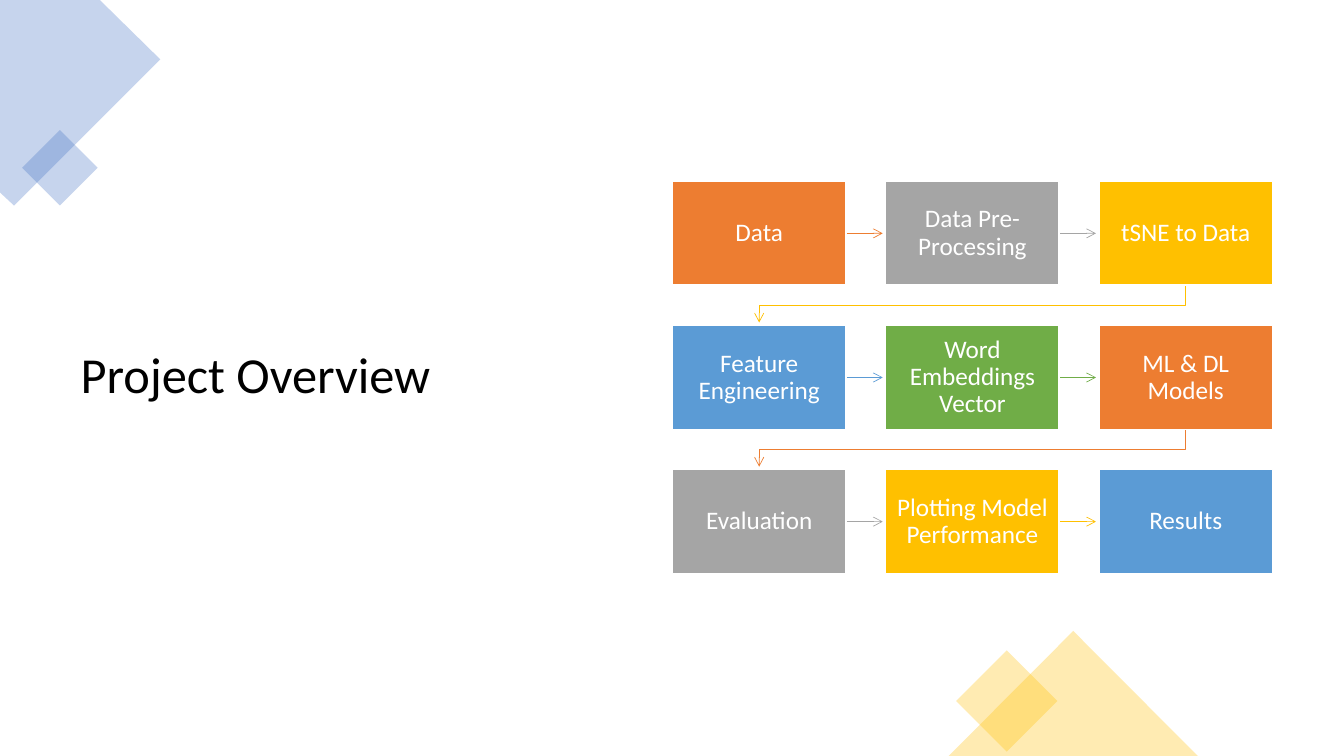
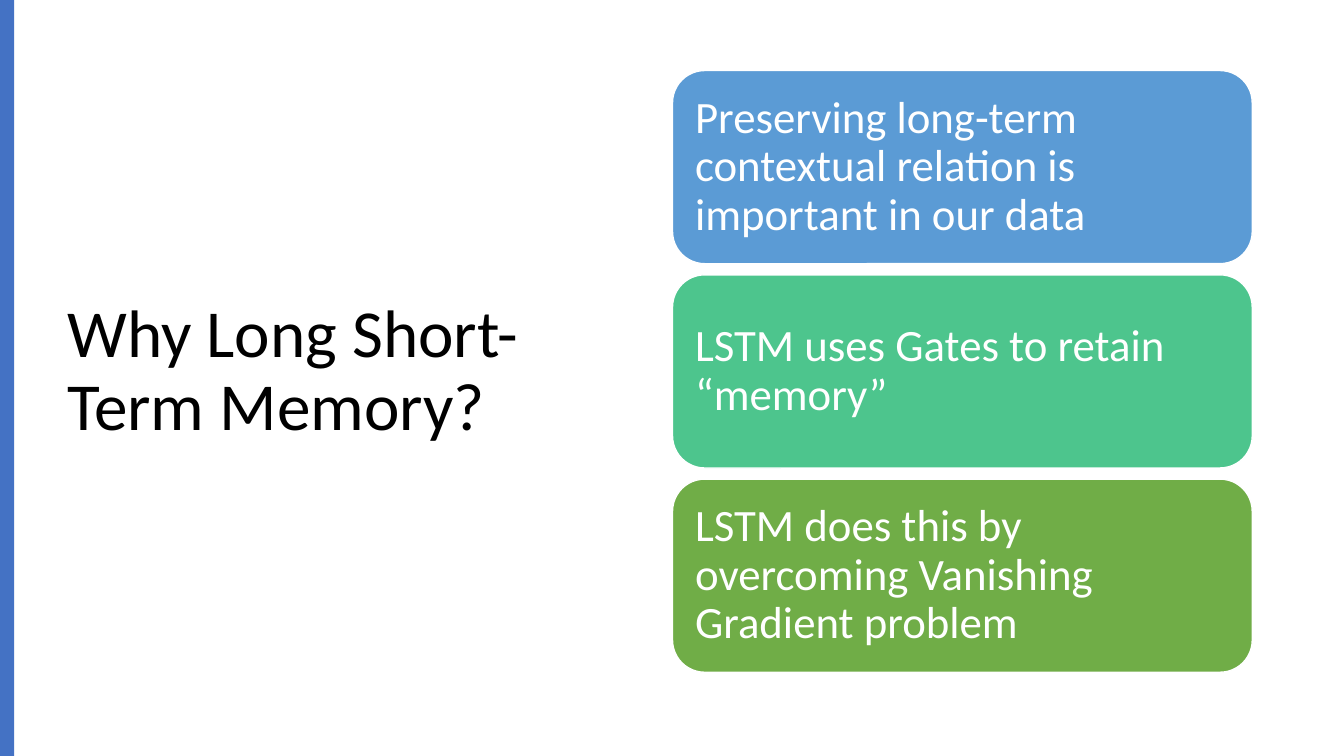
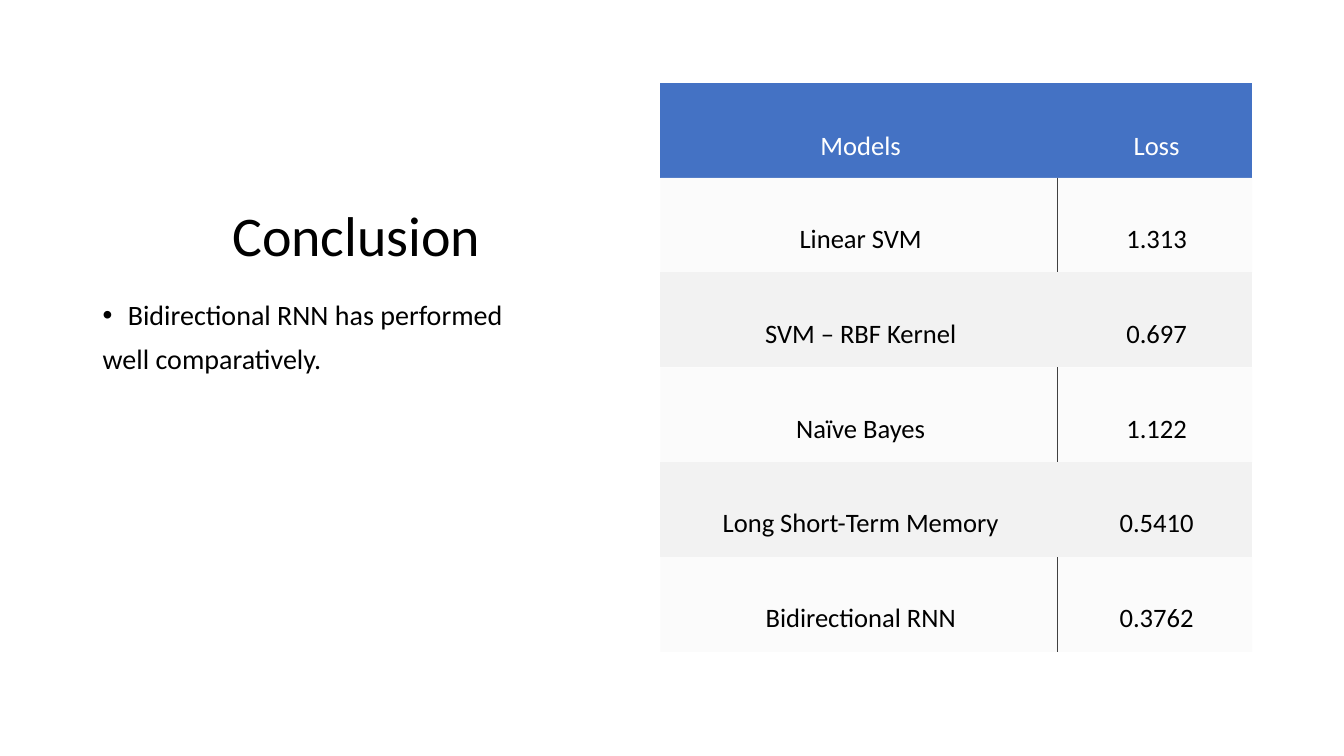
import dataclasses

import lxml.etree
import pptx
import pptx.dml.color
import pptx.enum.shapes
import pptx.enum.text
import pptx.oxml.ns
import pptx.util

RGBColor = pptx.dml.color.RGBColor
Inches = pptx.util.Inches
Pt = pptx.util.Pt
Shape = pptx.enum.shapes.MSO_SHAPE
Align = pptx.enum.text.PP_ALIGN
Anchor = pptx.enum.text.MSO_ANCHOR
qn = pptx.oxml.ns.qn

BLACK = RGBColor(0x00, 0x00, 0x00)
WHITE = RGBColor(0xFF, 0xFF, 0xFF)
NAVY = RGBColor(0x44, 0x72, 0xC4)
BLUE = RGBColor(0x5B, 0x9B, 0xD5)
ORANGE = RGBColor(0xED, 0x7D, 0x31)
GRAY = RGBColor(0xA5, 0xA5, 0xA5)
GOLD = RGBColor(0xFF, 0xC0, 0x00)
GREEN = RGBColor(0x70, 0xAD, 0x47)
MINT = RGBColor(0x4D, 0xC5, 0x8D)
PALE = RGBColor(0xF2, 0xF2, 0xF2)
RULE = RGBColor(0x40, 0x40, 0x40)

FONT = "Calibri"
SLIDE_WIDTH, SLIDE_HEIGHT = 13.33, 7.5
SOFT_OPACITY = 30
TEXT_INSETS = (0.1, 0.05, 0.1, 0.05)
PLAIN_TABLE_STYLE = "{2D5ABB26-0587-4C30-8999-92F81FD0307C}"


@dataclasses.dataclass
class Box:
    """A rectangle in inches."""
    left: float
    top: float
    width: float
    height: float

    def lengths(self):
        return [Inches(value) for value in dataclasses.astuple(self)]


def set_opacity(element, percent):
    """Make the first colour inside the element translucent."""
    color = next(element.iter(qn("a:srgbClr")))
    lxml.etree.SubElement(color, qn("a:alpha"), val=str(percent * 1000))


def write_paragraph(paragraph, text, size, color, align=Align.LEFT, line_spacing=0.9):
    paragraph.alignment = align
    paragraph.line_spacing = line_spacing
    run = paragraph.add_run()
    run.text = text
    run.font.name = FONT
    run.font.size = Pt(size)
    run.font.color.rgb = color


def set_frame(frame, anchor, insets=TEXT_INSETS):
    frame.word_wrap = True
    frame.vertical_anchor = anchor
    (frame.margin_left, frame.margin_top,
     frame.margin_right, frame.margin_bottom) = [Inches(inset) for inset in insets]


def paint(shape, fill, line=None, opacity=100):
    shape.shadow.inherit = False
    shape.fill.solid()
    shape.fill.fore_color.rgb = fill
    if line is None:
        shape.line.fill.background()
    else:
        shape.line.color.rgb = line
        shape.line.width = Pt(1)
    if opacity < 100:
        set_opacity(shape.element, opacity)


def add_block(slide, kind, box, fill, line=None, opacity=100):
    shape = slide.shapes.add_shape(kind, *box.lengths())
    paint(shape, fill, line, opacity)
    return shape


def add_title(slide, box, text, size, anchor=Anchor.MIDDLE, align=Align.LEFT):
    frame = slide.shapes.add_textbox(*box.lengths()).text_frame
    set_frame(frame, anchor)
    write_paragraph(frame.paragraphs[0], text, size, BLACK, align)


def draw_polyline(slide, points, closed):
    """Join points given in inches; whole EMU keep fractions of an inch exact."""
    start, *others = [(Inches(x), Inches(y)) for x, y in points]
    builder = slide.shapes.build_freeform(*start)
    builder.add_line_segments(others, close=closed)
    return builder.convert_to_shape()


def style_arrow(arrow, color):
    arrow.line.color.rgb = color
    arrow.line.width = Pt(0.5)
    properties = arrow.element.find(qn("p:spPr"))
    lxml.etree.SubElement(properties.find(qn("a:ln")), qn("a:tailEnd"), type="arrow")
    lxml.etree.SubElement(properties, qn("a:effectLst"))


def add_corner_shapes(slide):
    """Place the translucent squares at the top left and the bottom right."""
    outline = [(0, 0), (0.99, 0), (1.59, 0.59), (0.14, 2.04), (0, 1.91)]
    paint(draw_polyline(slide, outline, True), NAVY, opacity=SOFT_OPACITY)
    for box, color in ((Box(0.33, 1.4, 0.53, 0.53), NAVY),
                       (Box(9.63, 6.6, 0.71, 0.71), GOLD)):
        add_block(slide, Shape.RECTANGLE, box, color, opacity=SOFT_OPACITY).rotation = 45
    triangle = Box(9.41, SLIDE_HEIGHT - 1.24, 2.47, 1.24)
    add_block(slide, Shape.ISOSCELES_TRIANGLE, triangle, GOLD, opacity=SOFT_OPACITY)


def add_flow(slide, area, steps, columns=3):
    """Lay the steps out row by row and join each one to the next."""
    step_width, step_height = 1.72, 1.03
    rows = len(steps) // columns
    pitch_x = (area.width - step_width) / (columns - 1)
    pitch_y = (area.height - step_height) / (rows - 1)
    start_gap, end_gap = 0.01, 0.03
    first_center = area.left + step_width / 2

    for index, (text, color) in enumerate(steps):
        row, column = divmod(index, columns)
        box = Box(area.left + column * pitch_x, area.top + row * pitch_y,
                  step_width, step_height)
        frame = add_block(slide, Shape.RECTANGLE, box, color, WHITE).text_frame
        set_frame(frame, Anchor.MIDDLE, (0.08, 0.09, 0.08, 0.09))
        write_paragraph(frame.paragraphs[0], text, 18, WHITE, Align.CENTER)

        if index == len(steps) - 1:
            continue
        if column < columns - 1:
            middle = Inches(box.top + step_height / 2)
            arrow = slide.shapes.add_connector(
                pptx.enum.shapes.MSO_CONNECTOR.STRAIGHT,
                Inches(box.left + step_width + start_gap), middle,
                Inches(box.left + pitch_x - end_gap), middle)
        else:
            center = box.left + step_width / 2
            bottom = box.top + step_height
            turn = (bottom + box.top + pitch_y) / 2
            arrow = draw_polyline(slide, [
                (center, bottom + start_gap), (center, turn),
                (first_center, turn), (first_center, box.top + pitch_y - end_gap)], False)
            arrow.fill.background()
        style_arrow(arrow, color)


def add_cards(slide, area, cards, gap=0.11):
    height = (area.height - gap * (len(cards) - 1)) / len(cards)
    for index, (text, color) in enumerate(cards):
        box = Box(area.left, area.top + index * (height + gap), area.width, height)
        frame = add_block(slide, Shape.ROUNDED_RECTANGLE, box, color, WHITE).text_frame
        set_frame(frame, Anchor.MIDDLE, (0.13, 0.13, 0.13, 0.13))
        write_paragraph(frame.paragraphs[0], text, 32, WHITE)


def add_finding(slide, box, lines):
    """Write the lines under a bullet that marks the first of them."""
    frame = slide.shapes.add_textbox(*box.lengths()).text_frame
    set_frame(frame, Anchor.TOP)
    for index, text in enumerate(lines):
        paragraph = frame.add_paragraph() if index else frame.paragraphs[0]
        write_paragraph(paragraph, text, 20, BLACK)
        paragraph.space_before = Pt(10)
    first = frame.paragraphs[0]._p.get_or_add_pPr()
    first.set("marL", str(Inches(0.25)))
    first.set("indent", str(-Inches(0.25)))
    lxml.etree.SubElement(first, qn("a:buFont"), typeface="Arial")
    lxml.etree.SubElement(first, qn("a:buChar"), char="•")


def add_cell_border(properties, side):
    line = lxml.etree.Element(qn("a:" + side), w=str(Pt(0.5)))
    fill = lxml.etree.SubElement(line, qn("a:solidFill"))
    lxml.etree.SubElement(fill, qn("a:srgbClr"), val=str(RULE))
    properties.insert(0, line)


def add_loss_table(slide, box, rows, column_shares):
    graphic = slide.shapes.add_table(len(rows), len(column_shares), *box.lengths())
    next(graphic.element.iter(qn("a:tableStyleId"))).text = PLAIN_TABLE_STYLE
    table = graphic.table
    for column, share in zip(table.columns, column_shares):
        column.width = Inches(box.width * share)
    for row_index, values in enumerate(rows):
        is_header = row_index == 0
        is_soft = row_index % 2 == 1
        for column_index, text in enumerate(values):
            cell = table.cell(row_index, column_index)
            cell.vertical_anchor = Anchor.BOTTOM
            cell.margin_left = Inches(0.17)
            cell.margin_right = cell.margin_top = Inches(0.13)
            cell.margin_bottom = Inches(0.15 if is_header else 0.17)
            cell.fill.solid()
            cell.fill.fore_color.rgb = NAVY if is_header else PALE
            write_paragraph(cell.text_frame.paragraphs[0], text, 19,
                            WHITE if is_header else BLACK, Align.CENTER, 1.0)
            if is_soft:
                properties = cell._tc.get_or_add_tcPr()
                set_opacity(properties, SOFT_OPACITY)
                add_cell_border(properties, "lnL" if column_index else "lnR")


def build_overview(slide):
    add_title(slide, Box(0.7, 0.7, 5.25, 6.09), "Project Overview", 36)
    add_corner_shapes(slide)
    add_flow(slide, Box(6.67, 1.8, 5.95, 3.89), [
        ("Data", ORANGE), ("Data Pre-Processing", GRAY), ("tSNE to Data", GOLD),
        ("Feature Engineering", BLUE), ("Word Embeddings Vector", GREEN),
        ("ML & DL Models", ORANGE),
        ("Evaluation", GRAY), ("Plotting Model Performance", GOLD), ("Results", BLUE)])


def build_memory(slide):
    add_title(slide, Box(0.57, 0.68, 5.67, 6.02), "Why Long Short-Term Memory?", 48)
    add_block(slide, Shape.RECTANGLE, Box(0, 0, 0.14, SLIDE_HEIGHT), NAVY)
    add_cards(slide, Box(6.67, 0.7, 5.75, 5.97), [
        ("Preserving long-term contextual relation is important in our data", BLUE),
        ("LSTM uses Gates to retain “memory”", MINT),
        ("LSTM does this by overcoming Vanishing Gradient problem", GREEN)])


def build_conclusion(slide):
    add_title(slide, Box(0.92, 0.59, 5.23, 2.12), "Conclusion", 40,
              Anchor.BOTTOM, Align.CENTER)
    add_finding(slide, Box(0.92, 2.94, 5.23, 3.76),
                ["Bidirectional RNN has performed", "well comparatively."])
    add_loss_table(slide, Box(6.55, 0.82, 5.87, 5.65), [
        ("Models", "Loss"),
        ("Linear SVM", "1.313"),
        ("SVM – RBF Kernel", "0.697"),
        ("Naïve Bayes", "1.122"),
        ("Long Short-Term Memory", "0.5410"),
        ("Bidirectional RNN", "0.3762")], (0.67, 0.33))


def main():
    presentation = pptx.Presentation()
    presentation.slide_width = Inches(SLIDE_WIDTH)
    presentation.slide_height = Inches(SLIDE_HEIGHT)
    blank_layout = presentation.slide_layouts[6]
    for build in (build_overview, build_memory, build_conclusion):
        build(presentation.slides.add_slide(blank_layout))
    presentation.save("out.pptx")


if __name__ == "__main__":
    main()
